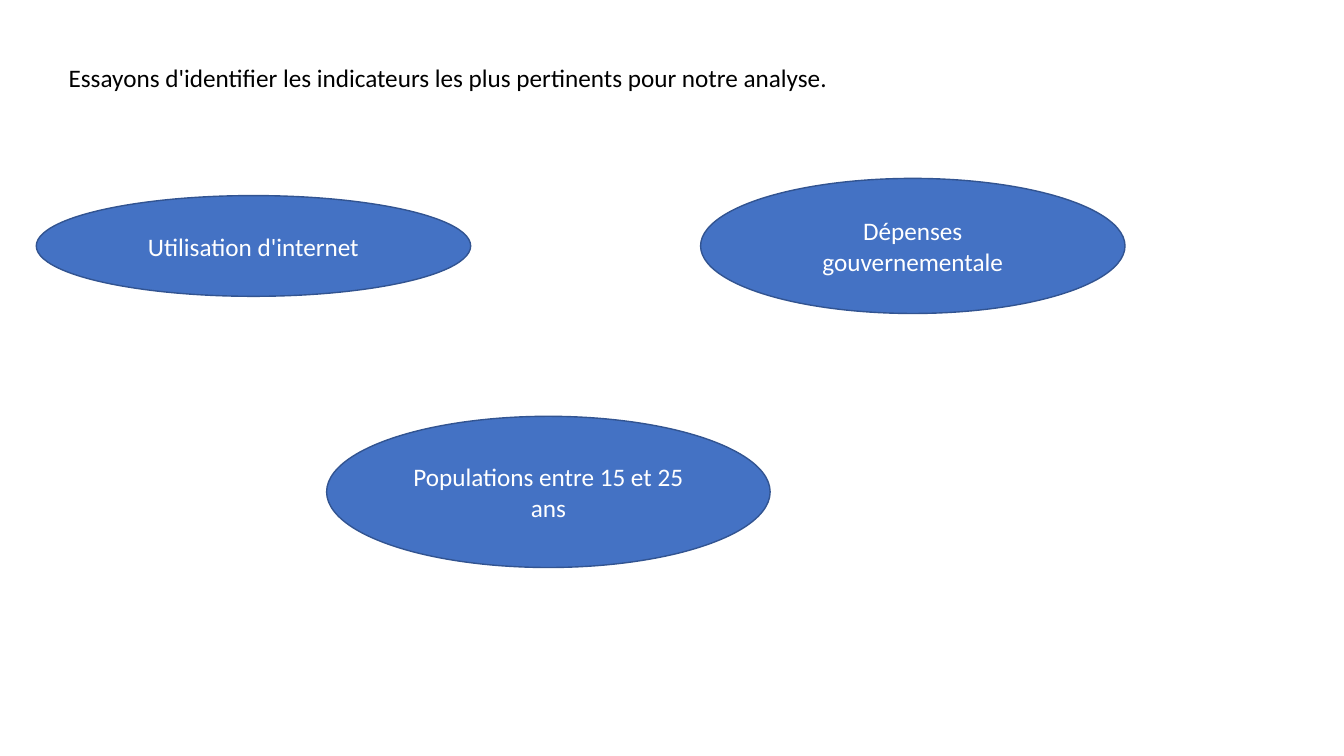
from pptx import Presentation
from pptx.dml.color import RGBColor
from pptx.enum.shapes import MSO_SHAPE
from pptx.enum.text import MSO_ANCHOR, PP_ALIGN
from pptx.util import Inches, Pt

SLIDE_WIDTH, SLIDE_HEIGHT = Inches(13.33), Inches(7.5)

# Left, top, width and height in percent of the slide
TITLE_AREA = (4.35, 3.47, 93.68, 9.47)
INDICATORS = [
    ("Utilisation d'internet", (2.7, 25.87, 32.32, 13.33)),
    ("Populations entre 15 et 25 ans", (24.3, 55.07, 33, 20)),
    ("Dépenses gouvernementale", (52.13, 23.6, 31.58, 17.87)),
]


def color(hex_value):
    return RGBColor.from_string(hex_value)


def slide_area(area):
    """Convert percentages of the slide to lengths."""
    sides = (SLIDE_WIDTH, SLIDE_HEIGHT) * 2
    return [round(side * share / 100) for side, share in zip(sides, area)]


def write_text(shape, text, hex_value, alignment, anchor):
    text_frame = shape.text_frame
    text_frame.text = text
    text_frame.word_wrap = True
    text_frame.vertical_anchor = anchor
    paragraph = text_frame.paragraphs[0]
    paragraph.alignment = alignment
    font = paragraph.runs[0].font
    font.name = "Calibri"
    font.size = Pt(18)
    font.color.rgb = color(hex_value)


def add_title(slide, text):
    title = slide.shapes.title
    title.left, title.top, title.width, title.height = slide_area(TITLE_AREA)
    write_text(title, text, "000000", PP_ALIGN.LEFT, MSO_ANCHOR.BOTTOM)


def add_indicator(slide, text, area):
    ellipse = slide.shapes.add_shape(MSO_SHAPE.OVAL, *slide_area(area))
    ellipse.shadow.inherit = False
    ellipse.fill.solid()
    ellipse.fill.fore_color.rgb = color("4472C4")
    ellipse.line.color.rgb = color("325491")
    ellipse.line.width = Pt(1)
    write_text(ellipse, text, "FFFFFF", PP_ALIGN.CENTER, MSO_ANCHOR.MIDDLE)


def main():
    presentation = Presentation()
    presentation.slide_width = SLIDE_WIDTH
    presentation.slide_height = SLIDE_HEIGHT
    slide = presentation.slides.add_slide(presentation.slide_layouts[5])
    add_title(slide, "Essayons d'identifier les indicateurs les plus "
                     "pertinents pour notre analyse.")
    for text, area in INDICATORS:
        add_indicator(slide, text, area)
    presentation.save("out.pptx")


if __name__ == "__main__":
    main()
